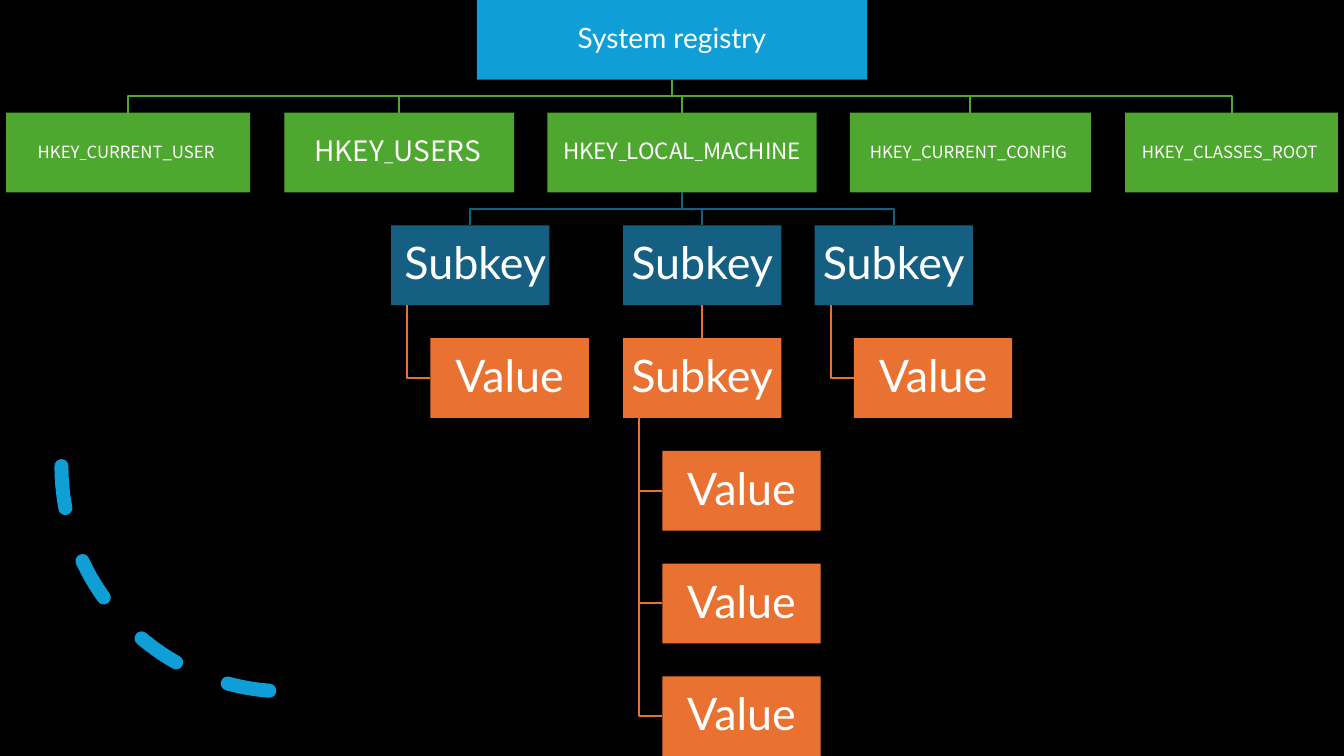
from lxml import etree
from pptx import Presentation, util as u
from pptx.dml.color import RGBColor
from pptx.enum import dml, shapes, text
from pptx.oxml.ns import qn

COLORS = {"black": "000000", "white": "FFFFFF", "sky": "0F9ED5",
          "green": "4EA72E", "teal": "156082", "orange": "E97132"}
LATO, NOTO = "Lato", "Noto Sans CJK SC"

SLIDE_W, SLIDE_H = 13.33, 7.5
BOX_W, BOX_H = 1.57, 0.79
ROW_STEP = (SLIDE_H - BOX_H) / 6
INDENT = 0.39
STEM = 0.16  # distance from a box's left edge to the stem of its children

# left, width, runs of (text, size)
HIVES = [
    (0.06, 2.42, [("HKEY", 12), ("_", 9), ("CURRENT_USER ", 12)]),
    (2.82, 2.28, [("HKEY", 20), ("_", 12), ("USERS", 20), (" ", 12)]),
    (5.43, 2.67, [("HKEY", 16), ("_", 10.5), ("LOCAL", 16), ("_", 10.5),
                  ("MACHINE", 16)]),
    (8.43, 2.39, [("HKEY_CURRENT_CONFIG ", 12)]),
    (11.16, 2.11, [("HKEY_CLASSES_ROOT ", 12)]),
]


def color(name):
    return RGBColor.from_string(COLORS[name])


class RegistryTree:
    FRAME = {"vertical_anchor": text.MSO_ANCHOR.MIDDLE, "word_wrap": True,
             "margin_left": u.Inches(0.01), "margin_right": u.Inches(0.01),
             "margin_top": u.Inches(0.01), "margin_bottom": u.Inches(0.01)}
    PARAGRAPH = {"alignment": text.PP_ALIGN.CENTER, "line_spacing": 0.9}
    LINK_WIDTH = 1.5

    def __init__(self, slide):
        self.shapes = slide.shapes

    def rect(self, left, top, width, height, fill):
        shape = self.shapes.add_shape(
            shapes.MSO_SHAPE.RECTANGLE,
            *map(u.Inches, (left, top, width, height)))
        shape.shadow.inherit = False
        shape.fill.solid()
        shape.fill.fore_color.rgb = color(fill)
        shape.line.fill.background()
        return shape

    def node(self, left, row, fill, runs, width=BOX_W):
        """Labelled box; runs holds (text, size, font) triples."""
        box = self.rect(left, row * ROW_STEP, width, BOX_H, fill)
        label = box.text_frame.paragraphs[0]
        for target, values in ((box.text_frame, self.FRAME),
                               (label, self.PARAGRAPH)):
            for name, value in values.items():
                setattr(target, name, value)
        for words, size, font in runs:
            run = label.add_run()
            run.text = words
            run.font.size, run.font.name = u.Pt(size), font
            run.font.color.rgb = color("white")
        return box

    def style_line(self, line, stroke, width):
        line.color.rgb = color(stroke)
        line.width = u.Pt(width)

    def elbow(self, points, stroke):
        path = self.shapes.build_freeform(*points[0])
        path.add_line_segments(points[1:], close=False)
        link = path.convert_to_shape()
        link.shadow.inherit = False
        link.fill.background()
        self.style_line(link.line, stroke, self.LINK_WIDTH)

    def branch(self, parent, child, stroke):
        """Link from the parent's bottom centre to the child's top centre."""
        start_x = parent.left + parent.width // 2
        end_x = child.left + child.width // 2
        bottom = parent.top + parent.height
        middle = (bottom + child.top) // 2
        self.elbow([(start_x, bottom), (start_x, middle),
                    (end_x, middle), (end_x, child.top)], stroke)

    def hang(self, parent, child, stroke):
        """Link from a stem under the parent to the child's left side."""
        x = parent.left + u.Inches(STEM)
        y = child.top + child.height // 2
        self.elbow([(x, parent.top + parent.height), (x, y),
                    (child.left, y)], stroke)

    def straight(self, parent, child, stroke):
        link = self.shapes.add_connector(
            shapes.MSO_CONNECTOR.STRAIGHT, 0, 0, 0, 0)
        link.begin_connect(parent, 2)
        link.end_connect(child, 0)
        self.style_line(link.line, stroke, self.LINK_WIDTH)
        etree.SubElement(link._element.spPr, qn("a:effectLst"))

    def dashed_arc(self, left, top, size, stroke):
        arc = self.shapes.add_shape(
            shapes.MSO_SHAPE.ARC, *map(u.Inches, (left, top, size, size)))
        arc.shadow.inherit = False
        arc.fill.background()
        arc.rotation = 90
        arc._element.spPr.find(qn("a:xfrm")).set("flipV", "1")
        self.style_line(arc.line, stroke, 10)
        arc.line.dash_style = dml.MSO_LINE.DASH
        arc._element.spPr.find(qn("a:ln")).set("cap", "rnd")


def main():
    prs = Presentation()
    prs.slide_width, prs.slide_height = u.Inches(SLIDE_W), u.Inches(SLIDE_H)
    tree = RegistryTree(prs.slides.add_slide(prs.slide_layouts[6]))

    tree.rect(0, 0, SLIDE_W, SLIDE_H, "black")
    tree.dashed_arc(0.61, 2.39, 4.47, "sky")

    registry = tree.node(4.73, 0, "sky", [("System registry", 20, LATO)], 3.87)
    hives = []
    for left, width, runs in HIVES:
        runs = [(words, size, NOTO) for words, size in runs]
        hives.append(tree.node(left, 1, "green", runs, width))
        tree.branch(registry, hives[-1], "green")
    local_machine = hives[2]

    subkey_run, value_run = ("Subkey", 32, LATO), ("Value", 32, LATO)
    subkeys = []
    for left, lead in ((3.88, [(" ", 32, NOTO)]), (6.18, []), (8.08, [])):
        subkeys.append(tree.node(left, 2, "teal", lead + [subkey_run]))
        tree.branch(local_machine, subkeys[-1], "teal")
    first, middle, last = subkeys

    nested = tree.node(6.18, 3, "orange", [subkey_run])
    tree.straight(middle, nested, "orange")

    for parent, rows in ((first, [3]), (nested, [4, 5, 6]), (last, [3])):
        for row in rows:
            value = tree.node(parent.left.inches + INDENT, row, "orange",
                              [value_run])
            tree.hang(parent, value, "orange")

    prs.save("out.pptx")


if __name__ == "__main__":
    main()
